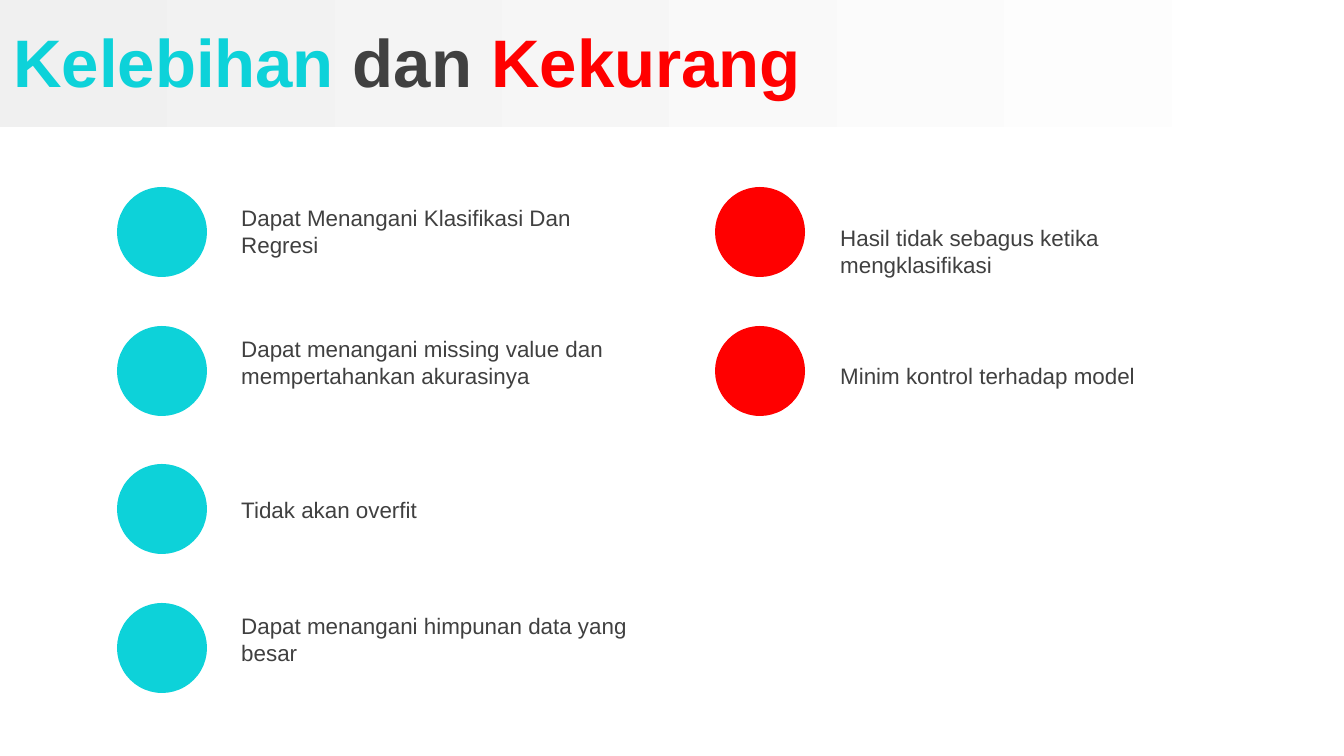
from pptx import Presentation
from pptx.dml.color import RGBColor
from pptx.enum.shapes import MSO_SHAPE
from pptx.enum.text import MSO_ANCHOR, MSO_AUTO_SIZE
from pptx.util import Pt

RECTANGLE, OVAL = MSO_SHAPE.RECTANGLE, MSO_SHAPE.OVAL
TOP, MIDDLE = MSO_ANCHOR.TOP, MSO_ANCHOR.MIDDLE
NO_FIT, GROW = MSO_AUTO_SIZE.NONE, MSO_AUTO_SIZE.SHAPE_TO_FIT_TEXT

THEME = {
    "font": "Arial",
    "strength": "0DD2D9",
    "weakness": "FF0000",
    "ink": "404040",
    "band": ("F0F0F0", "FFFFFF"),
    "title_size": 36,
    "point_size": 12,
}
TITLE = [("Kelebihan ", "strength"), ("dan ", "ink"), ("Kekurang", "weakness")]
COLUMNS = [
    {
        "color": "strength", "dot_left": 117, "text_left": 228,
        "points": [
            ("Dapat Menangani Klasifikasi Dan Regresi", 198, 67),
            ("Dapat menangani missing value dan mempertahankan akurasinya", 329, 67),
            ("Tidak akan overfit", 490, 40),
            ("Dapat menangani himpunan data yang besar", 606, 67),
        ],
    },
    {
        "color": "weakness", "dot_left": 715, "text_left": 827,
        "points": [
            ("Hasil tidak sebagus ketika mengklasifikasi", 218, 67),
            ("Minim kontrol terhadap model", 356, 40),
        ],
    },
]
SLIDE_SIZE = (1344, 756)
BAND = (0, 0, 1339, 127)
TITLE_BOX = (0, 4, 1344, 114)
DOT_SIZE, TEXT_WIDTH = 90, 417
FIRST_DOT, LAST_DOT, ROWS = 187, 603, 4
EMU_PER_PIXEL = 914400 / 134.4


def emu(*pixels):
    """Turn pixel lengths into EMU."""
    return [round(pixel * EMU_PER_PIXEL) for pixel in pixels]


def apply(target, formats):
    """Set each format value on the target."""
    for key, value in formats.items():
        setattr(target, key, value)


def add_plain_shape(slide, preset, box):
    """Add a preset shape without line or shadow."""
    shape = slide.shapes.add_shape(preset, *emu(*box))
    shape.shadow.inherit = False
    shape.line.fill.background()
    return shape


def add_text(slide, box, runs, size, bold, anchor, fit):
    """Add one paragraph of coloured runs."""
    frame = slide.shapes.add_textbox(*emu(*box)).text_frame
    apply(frame, {"word_wrap": True, "auto_size": fit, "vertical_anchor": anchor})
    for words, color in runs:
        run = frame.paragraphs[0].add_run()
        run.text = words
        apply(run.font, {"name": THEME["font"], "size": Pt(size), "bold": bold})
        run.font.color.rgb = RGBColor.from_string(THEME[color])


deck = Presentation()
deck.slide_width, deck.slide_height = emu(*SLIDE_SIZE)
slide = deck.slides.add_slide(deck.slide_layouts[6])

band = add_plain_shape(slide, RECTANGLE, BAND)
band.fill.gradient()
band.fill.gradient_angle = 0
for stop, color in zip(band.fill.gradient_stops, THEME["band"]):
    stop.color.rgb = RGBColor.from_string(color)
add_text(slide, TITLE_BOX, TITLE, THEME["title_size"], True, MIDDLE, NO_FIT)

for column in COLUMNS:
    for row, (words, text_top, text_height) in enumerate(column["points"]):
        dot_top = FIRST_DOT + round(row * (LAST_DOT - FIRST_DOT) / (ROWS - 1))
        dot = add_plain_shape(
            slide, OVAL, (column["dot_left"], dot_top, DOT_SIZE, DOT_SIZE))
        dot.fill.solid()
        dot.fill.fore_color.rgb = RGBColor.from_string(THEME[column["color"]])
        add_text(slide, (column["text_left"], text_top, TEXT_WIDTH, text_height),
                 [(words, "ink")], THEME["point_size"], False, TOP, GROW)

deck.save("out.pptx")
